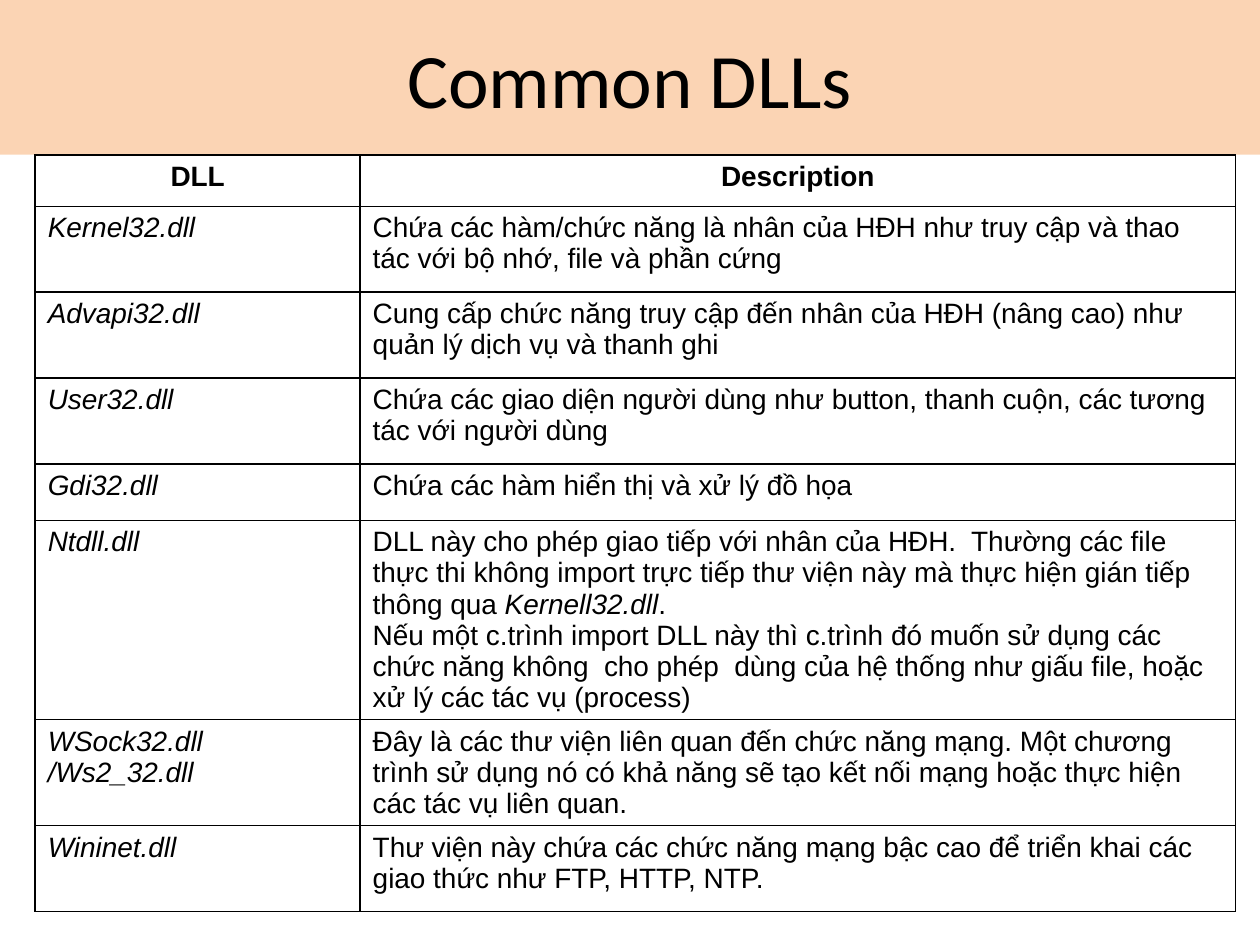
from lxml import etree
from pptx import Presentation, util as u
from pptx.dml.color import RGBColor
from pptx.enum import shapes, text
from pptx.oxml.ns import qn

HUES = {"band": "FBD4B4", "ink": "000000"}

# Asterisks enclose italic words; a line break starts a new paragraph
ROWS = [
    ("DLL", "Description"),
    ("*Kernel32.dll*", "Chứa các hàm/chức năng là nhân của HĐH như truy cập "
     "và thao tác với bộ nhớ, file và phần cứng"),
    ("*Advapi32.dll*", "Cung cấp chức năng truy cập đến nhân của HĐH "
     "(nâng cao) như quản lý dịch vụ và thanh ghi"),
    ("*User32.dll*", "Chứa các giao diện người dùng như button, thanh cuộn, "
     "các tương tác với người dùng"),
    ("*Gdi32.dll*", "Chứa các hàm hiển thị và xử lý đồ họa"),
    ("*Ntdll.dll*", "DLL này cho phép giao tiếp với nhân của HĐH.  Thường "
     "các file thực thi không import trực tiếp thư viện này mà thực hiện "
     "gián tiếp thông qua *Kernell32.dll*.\n"
     "Nếu một c.trình import DLL này thì c.trình đó muốn sử dụng các chức "
     "năng không  cho phép  dùng của hệ thống như giấu file, hoặc xử lý "
     "các tác vụ (process)"),
    ("*WSock32.dll /Ws2_32.dll*", "Đây là các thư viện liên quan đến chức "
     "năng mạng. Một chương trình sử dụng nó có khả năng sẽ tạo kết nối mạng "
     "hoặc thực hiện các tác vụ liên quan."),
    ("*Wininet.dll*", "Thư viện này chứa các chức năng mạng bậc cao để triển "
     "khai các giao thức như FTP, HTTP, NTP."),
]
WIDTHS = [6.55, 17.65]
HEIGHTS = [1.04, 1.73, 1.73, 1.73, 1.14, 4.01, 2.13, 1.73]


class Deck:
    def __init__(self, wide, high):
        self.prs = Presentation()
        self.prs.slide_width, self.prs.slide_height = u.Cm(wide), u.Cm(high)
        self.slide = self.prs.slides.add_slide(self.prs.slide_layouts[6])

    def style(self, run, face, size, bold=False, slant=False):
        font = run.font
        font.name, font.size = face, u.Pt(size)
        font.bold, font.italic = bold, slant
        font.color.rgb = RGBColor.from_string(HUES["ink"])

    def band(self, words, wide, high):
        box = self.slide.shapes.add_shape(
            shapes.MSO_SHAPE.RECTANGLE, 0, 0, u.Cm(wide), u.Cm(high))
        box.shadow.inherit = False
        box.fill.solid()
        box.fill.fore_color.rgb = RGBColor.from_string(HUES["band"])
        box.line.fill.background()
        frame = box.text_frame
        frame.text = words
        frame.vertical_anchor = text.MSO_ANCHOR.MIDDLE
        para = frame.paragraphs[0]
        para.alignment = text.PP_ALIGN.CENTER
        self.style(para.runs[0], "Calibri", 44)

    def border(self, cell):
        props = cell._tc.get_or_add_tcPr()
        for spot, side in enumerate(("lnL", "lnR", "lnT", "lnB")):
            line = etree.Element(qn(f"a:{side}"), w=str(u.Pt(0.96)))
            fill = etree.SubElement(line, qn("a:solidFill"))
            etree.SubElement(fill, qn("a:srgbClr"), val=HUES["ink"])
            props.insert(spot, line)

    def cell(self, cell, words, head):
        cell.fill.background()
        self.border(cell)
        cell.text_frame.text = words.replace("*", "")
        for para, line in zip(cell.text_frame.paragraphs, words.split("\n")):
            para.alignment = (text.PP_ALIGN.CENTER if head
                              else text.PP_ALIGN.LEFT)
            para.clear()
            for spot, part in enumerate(line.split("*")):
                if part:
                    run = para.add_run()
                    run.text = part
                    self.style(run, "Arial", 16, head, spot % 2 == 1)

    def table(self, left, top, rows, widths, heights):
        grid = self.slide.shapes.add_table(
            len(rows), len(widths), u.Cm(left), u.Cm(top),
            u.Cm(sum(widths)), u.Cm(sum(heights))).table
        grid.first_row = grid.horz_banding = False
        for col, wide in zip(grid.columns, widths):
            col.width = u.Cm(wide)
        for row, high in zip(grid.rows, heights):
            row.height = u.Cm(high)
        for r, row in enumerate(rows):
            for c, words in enumerate(row):
                self.cell(grid.cell(r, c), words, r == 0)


def main():
    deck = Deck(25.4, 19.05)
    # Title band
    deck.band("Common DLLs", 25.4, 3.12)
    # Table of libraries
    deck.table(0.71, 3.12, ROWS, WIDTHS, HEIGHTS)
    deck.prs.save("out.pptx")


if __name__ == "__main__":
    main()
